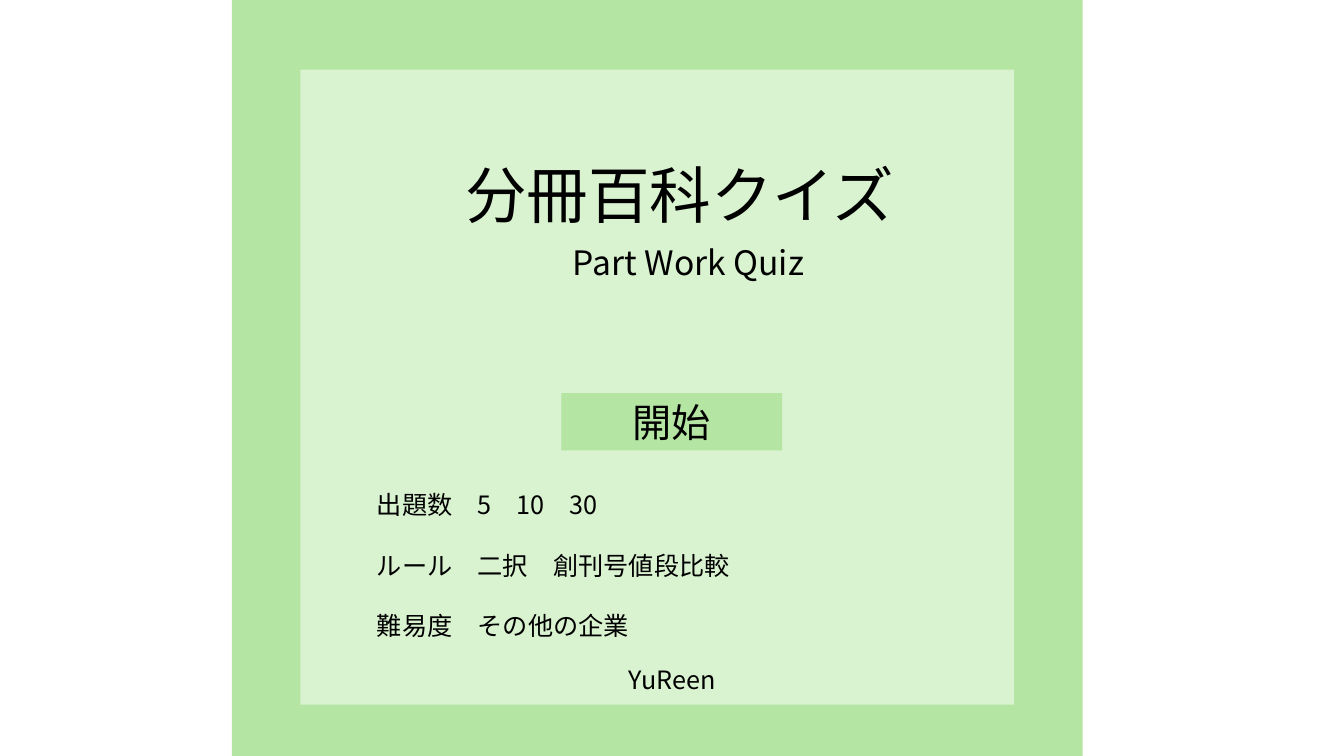
from dataclasses import dataclass

from pptx import Presentation
from pptx.dml.color import RGBColor
from pptx.enum.shapes import MSO_SHAPE as Shape
from pptx.enum.text import MSO_ANCHOR as Anchor, PP_ALIGN as Align
from pptx.oxml.ns import qn
from pptx.util import Pt

FONT = "Noto Sans CJK JP"
BLACK = RGBColor(0x00, 0x00, 0x00)
GREEN = RGBColor(0xB4, 0xE5, 0xA2)
PALE_GREEN = RGBColor(0xD9, 0xF2, 0xD0)
LINE_HEIGHT = 1.2


@dataclass
class Box:
    left: float
    top: float
    width: float
    height: float

    def lengths(self):
        return [Pt(v) for v in (self.left, self.top, self.width, self.height)]


@dataclass
class Label:
    box: Box
    lines: list[str]
    size: float
    align: Align = Align.CENTER


BACKDROP = Box(165.6, 0, 607.7, 540)
PANEL = Box(214.6, 49.7, 509.8, 453.6)
TITLE = Label(Box(301.7, 108.7, 367.9, 60.5), ["分冊百科クイズ"], 44)
START = Label(Box(401, 280.8, 157.7, 41), ["開始"], 28)
LABELS = [
    Label(Box(286.6, 169.2, 410.4, 36), ["Part Work Quiz"], 24),
    Label(Box(262.1, 346.3, 436.3, 116.6),
          ["出題数\t5　10　30", "ルール　二択　創刊号値段比較", "難易度　その他の企業"],
          18, Align.LEFT),
    Label(Box(334.8, 470.9, 290.9, 28.8), ["YuReen"], 18),
]


def add_rect(s, box: Box, color: RGBColor):
    sp = s.shapes.add_shape(Shape.RECTANGLE, *box.lengths())
    sp.fill.solid()
    sp.fill.fore_color.rgb = color
    sp.line.fill.background()
    sp.shadow.inherit = False
    return sp


def write(sp, label: Label) -> None:
    tf = sp.text_frame
    tf.word_wrap = True
    tf.vertical_anchor = Anchor.TOP
    tf.text = "\n".join(label.lines)
    for i, p in enumerate(tf.paragraphs):
        p.alignment = label.align
        p.line_spacing = Pt(label.size * LINE_HEIGHT)
        # One line of air between the settings
        p.space_before = Pt(label.size * LINE_HEIGHT if i else 0)
        p.font.name = FONT
        p.font.size = Pt(label.size)
        p.font.color.rgb = BLACK
        # East Asian typeface follows the Latin one
        latin = p.font._element.find(qn("a:latin"))
        ea = latin.makeelement(qn("a:ea"), {"typeface": FONT})
        latin.addnext(ea)


def main() -> None:
    prs = Presentation()
    prs.slide_width, prs.slide_height = Pt(960), Pt(540)
    s = prs.slides.add_slide(prs.slide_layouts[5])

    # Backdrop and panel, kept behind the title
    title = s.shapes.title
    add_rect(s, BACKDROP, GREEN)
    panel = add_rect(s, PANEL, PALE_GREEN)
    panel._element.addnext(title._element)

    # Title
    title.left, title.top, title.width, title.height = TITLE.box.lengths()
    write(title, TITLE)

    # Subtitle, quiz settings and author
    for label in LABELS:
        write(s.shapes.add_textbox(*label.box.lengths()), label)

    # Start button
    write(add_rect(s, START.box, GREEN), START)

    prs.save("out.pptx")


if __name__ == "__main__":
    main()
